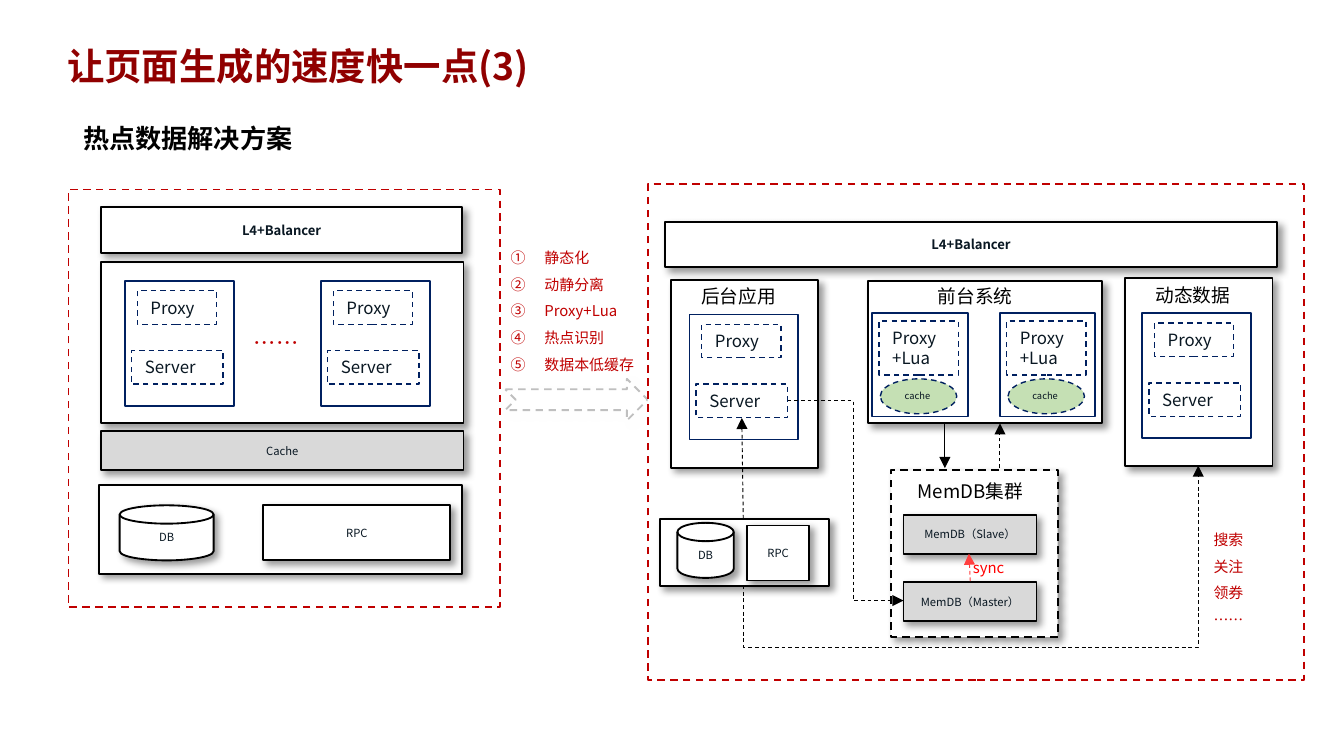
from lxml import etree
from pptx import Presentation
from pptx.dml.color import RGBColor
from pptx.enum import dml, shapes, text
from pptx.oxml import ns
from pptx.util import Pt

FONT = "Noto Sans CJK SC"
BLACK = RGBColor(0, 0, 0)
WHITE = RGBColor(255, 255, 255)
INK = RGBColor(0x09, 0x17, 0x22)
NAVY = RGBColor(0x00, 0x20, 0x60)
MAROON = RGBColor(0x90, 0, 0)
CRIMSON = RGBColor(0xC0, 0, 0)
RED = RGBColor(0xFF, 0, 0)
CORAL = RGBColor(0xFF, 0x40, 0x40)
SILVER = RGBColor(0xBF, 0xBF, 0xBF)
GRAY = RGBColor(0xD9, 0xD9, 0xD9)
GREEN = RGBColor(0xC5, 0xE0, 0xB4)
SHAPE = shapes.MSO_SHAPE
LINK = shapes.MSO_CONNECTOR
DASH = dml.MSO_LINE.DASH
LEFT, CENTER = text.PP_ALIGN.LEFT, text.PP_ALIGN.CENTER
TOP, MIDDLE = text.MSO_ANCHOR.TOP, text.MSO_ANCHOR.MIDDLE


def write(frame, lines, size, color, bold=False, align=LEFT, anchor=TOP, spacing=1.0):
    frame.word_wrap = True
    frame.auto_size = text.MSO_AUTO_SIZE.NONE
    frame.vertical_anchor = anchor
    for index, line in enumerate(lines):
        para = frame.add_paragraph() if index else frame.paragraphs[0]
        para.alignment = align
        para.line_spacing = spacing
        para.space_before = Pt(0)
        span = para.add_run()
        span.text = line
        span.font.name = FONT
        span.font.size = Pt(size)
        span.font.bold = bold
        span.font.color.rgb = color
        east = etree.SubElement(span.font._element, ns.qn("a:ea"))
        east.set("typeface", FONT)


def add_box(place, fill=WHITE, line=BLACK, width=1, dash=None, shadow=None, kind=SHAPE.RECTANGLE):
    box = page.shapes.add_shape(kind, *map(Pt, place))
    box.shadow.inherit = False
    if fill is None:
        box.fill.background()
    else:
        box.fill.solid()
        box.fill.fore_color.rgb = fill
    box.line.color.rgb = line
    box.line.width = Pt(width)
    box.line.dash_style = dash
    if shadow is not None:
        effects = box._element.spPr.find(ns.qn("a:effectLst"))
        outer = etree.SubElement(effects, ns.qn("a:outerShdw"), blurRad=str(Pt(4)),
                                 dist=str(Pt(3)), dir="2700000", algn="tl", rotWithShape="0")
        tint = etree.SubElement(outer, ns.qn("a:srgbClr"), val=str(shadow))
        etree.SubElement(tint, ns.qn("a:alpha"), val="40000")
    return box


deck = Presentation()
deck.slide_width, deck.slide_height = Pt(720), Pt(405)
page = deck.slides.add_slide(deck.slide_layouts[1])

title = page.shapes.title
title.left, title.top, title.width, title.height = map(Pt, (29.5, 20.2, 287.3, 30.2))
write(title.text_frame, ["让页面生成的速度快一点(3)"], 20, MAROON, bold=True)
title.text_frame.margin_left = title.text_frame.margin_right = Pt(6.5)
title.text_frame.margin_top = title.text_frame.margin_bottom = Pt(3)

steps = page.placeholders[1]
steps.left, steps.top, steps.width, steps.height = map(Pt, (266.4, 124.6, 92.9, 79.9))
write(steps.text_frame, ["静态化", "动静分离", "Proxy+Lua", "热点识别", "数据本低缓存"],
      8, CRIMSON, spacing=1.5)
for para in steps.text_frame.paragraphs:
    props = para._p.get_or_add_pPr()
    props.set("marL", str(Pt(18)))
    props.set("indent", str(-Pt(18)))
    etree.SubElement(props, ns.qn("a:buFont"), typeface=FONT)
    etree.SubElement(props, ns.qn("a:buAutoNum"), type="circleNumDbPlain")

add_box((270.7, 203, 76.3, 22.3), line=SILVER, dash=DASH, shadow=WHITE,
        kind=SHAPE.NOTCHED_RIGHT_ARROW)
for panel in [(347, 98.6, 351.4, 265.7), (36.7, 101.5, 231.1, 223.9)]:
    add_box(panel, line=CRIMSON, dash=DASH)

for card in [(359.3, 149.8, 79.2, 100.8), (602.6, 149, 79.2, 100.8), (465.1, 150.5, 125.3, 76.3),
             (353.5, 277.9, 90.7, 36), (54, 140.4, 194.4, 86.4), (53.3, 259.9, 194.4, 47.5)]:
    add_box(card, shadow=BLACK)
add_box((477.4, 252, 89.3, 89.3), dash=DASH, shadow=BLACK)

for place, label, size, fill, kind in [
    ((356.4, 118.8, 327.6, 24.5), "L4+Balancer", 7, WHITE, SHAPE.RECTANGLE),
    ((54, 110.9, 193.7, 24.5), "L4+Balancer", 7, WHITE, SHAPE.RECTANGLE),
    ((362.9, 280.1, 30.2, 29.5), "DB", 6, WHITE, SHAPE.FLOWCHART_MAGNETIC_DISK),
    ((64.1, 270.7, 50.4, 29.5), "DB", 6, WHITE, SHAPE.FLOWCHART_MAGNETIC_DISK),
    ((400.3, 281.5, 33.1, 29.5), "RPC", 6, WHITE, SHAPE.RECTANGLE),
    ((141.1, 270.7, 100.1, 29.5), "RPC", 6, WHITE, SHAPE.RECTANGLE),
    ((484, 311.8, 71.3, 20.9), "MemDB（Master）", 6, GRAY, SHAPE.RECTANGLE),
    ((484, 275.8, 71.3, 20.9), "MemDB（Slave）", 6, GRAY, SHAPE.RECTANGLE),
    ((54, 231.1, 194.4, 20.9), "Cache", 6, GRAY, SHAPE.RECTANGLE),
]:
    box = add_box(place, fill=fill, shadow=BLACK, kind=kind)
    write(box.text_frame, [label], size, INK, bold=size == 7, align=CENTER, anchor=MIDDLE)

for left, top in [(369.4, 168.5), (612, 167.8), (67, 150.5), (172, 150.5)]:
    add_box((left, top, 58.3, 67), line=NAVY)
    for label, dx, dy, width in [("Proxy", 6.5, 5.2, 42.5), ("Server", 3.5, 37.3, 49)]:
        box = add_box((left + dx, top + dy, width, 18), None, NAVY, 0.75, DASH)
        write(box.text_frame, [label], 9, INK)

for left in (467.3, 535.7):
    add_box((left, 167.8, 51.1, 55.4), line=NAVY)
    box = add_box((left + 3.6, 172.1, 42.5, 28.8), None, NAVY, 0.75, DASH)
    write(box.text_frame, ["Proxy+Lua"], 9, INK)
    box = add_box((left + 4.3, 203, 41, 18.7), GREEN, NAVY, 0.75, DASH, kind=SHAPE.OVAL)
    write(box.text_frame, ["cache"], 5, INK)

for place, lines, size, color, bold, spacing in [
    ((37.4, 61.9, 387.4, 24.5), ["热点数据解决方案"], 14, BLACK, True, 1.0),
    ((514.1, 295.9, 59.8, 17.3), ["sync"], 8, RED, False, 1.0),
    ((484.6, 253.4, 73.4, 19.4), ["MemDB集群"], 10, BLACK, False, 1.0),
    ((368.6, 149, 59.8, 19.4), ["后台应用"], 10, BLACK, False, 1.0),
    ((495.4, 149, 59.8, 19.4), ["前台系统"], 10, BLACK, False, 1.0),
    ((612, 148.3, 59.8, 19.4), ["动态数据"], 10, BLACK, False, 1.0),
    ((643, 275.8, 43.9, 65.5), ["搜索", "关注", "领券", "……"], 8, CRIMSON, False, 1.5),
    ((128.9, 172.8, 46.8, 21.6), ["……"], 12, CRIMSON, False, 1.0),
]:
    box = page.shapes.add_textbox(*map(Pt, place))
    write(box.text_frame, lines, size, color, bold, spacing=spacing)

for ends, kind, color, dash, bend, turn in [
    ((519.8, 311.4, 519.1, 296.6), LINK.STRAIGHT, CORAL, DASH, None, 0),
    ((398.2, 277.9, 397.4, 223.9), LINK.STRAIGHT, BLACK, DASH, None, 0),
    ((506.2, 226.8, 506.2, 250.8), LINK.STRAIGHT, BLACK, None, None, 0),
    ((535.7, 250.8, 535.7, 226.8), LINK.STRAIGHT, BLACK, DASH, None, 0),
    ((421.9, 214.6, 484, 321.8), LINK.ELBOW, BLACK, DASH, 56600, 0),
    ((552.2, 403.2, 488.2, 159.8), LINK.ELBOW, BLACK, DASH, -52100, 90),
]:
    arrow = page.shapes.add_connector(kind, *map(Pt, ends))
    arrow.line.color.rgb = color
    arrow.line.width = Pt(0.5)
    arrow.line.dash_style = dash
    props = arrow._element.spPr
    etree.SubElement(arrow.line._get_or_add_ln(), ns.qn("a:tailEnd"), type="triangle")
    etree.SubElement(props, ns.qn("a:effectLst"))
    if bend is not None:
        guides = props.find(ns.qn("a:prstGeom")).find(ns.qn("a:avLst"))
        etree.SubElement(guides, ns.qn("a:gd"), name="adj1", fmla=f"val {bend}")
    if turn:
        props.find(ns.qn("a:xfrm")).set("rot", str(turn * 60000))

deck.save("out.pptx")
